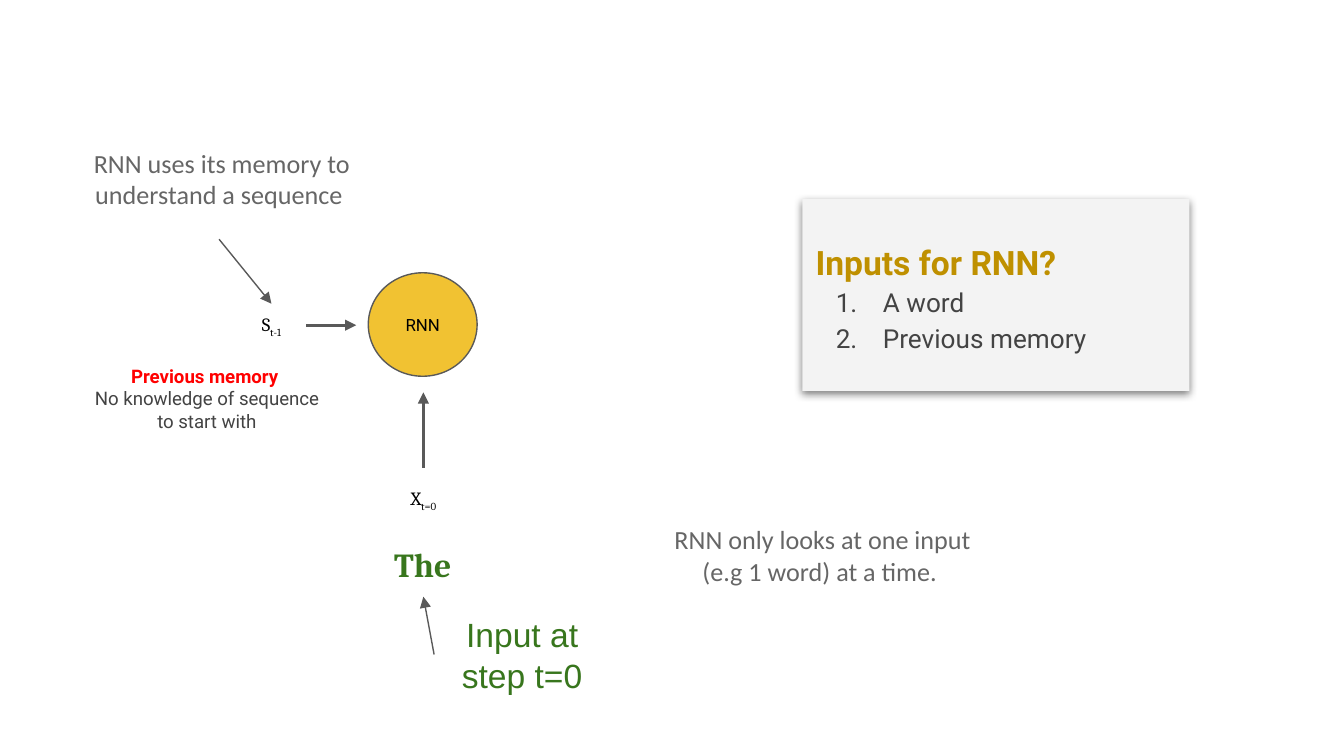
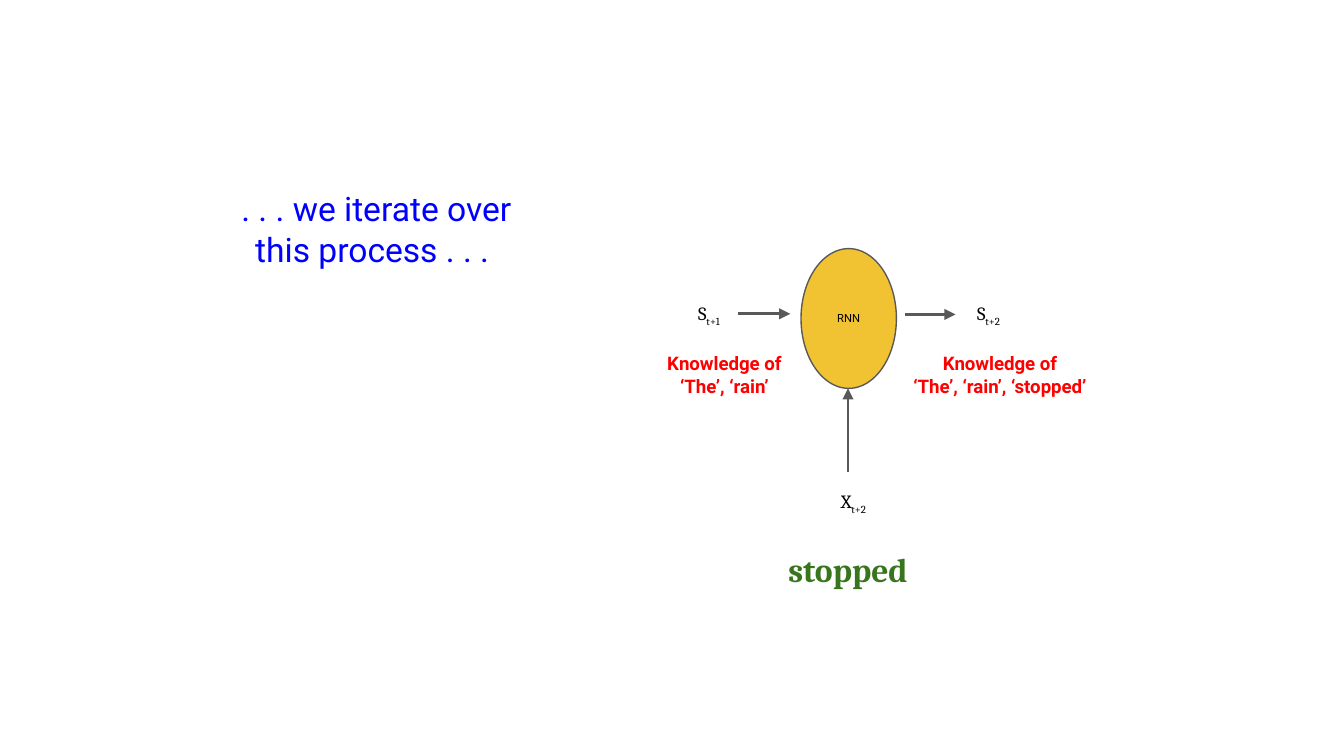
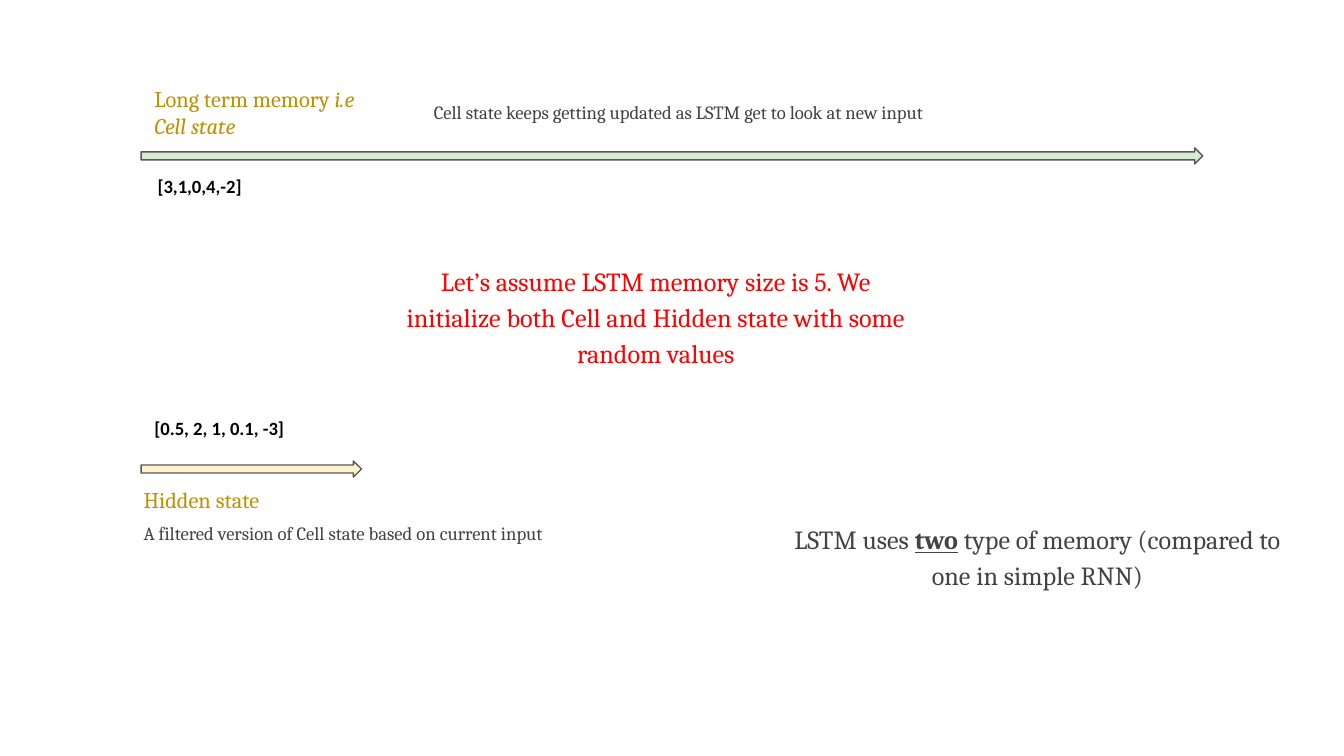
import pptx
import pptx.dml.color
import pptx.enum.shapes
import pptx.enum.text
import pptx.oxml
import pptx.oxml.ns
import pptx.util

SHAPE = pptx.enum.shapes.MSO_SHAPE
CENTRE = pptx.enum.text.PP_ALIGN.CENTER
LEFT = pptx.enum.text.PP_ALIGN.LEFT
MIDDLE = pptx.enum.text.MSO_ANCHOR.MIDDLE
TOP = pptx.enum.text.MSO_ANCHOR.TOP

INK, GREY, LINE = "434343", "666666", "595959"
BLACK, GOLD, GREEN, RED, BLUE = "000000", "BF9000", "38761D", "FF0000", "0000FF"

STYLES = {
    "symbol": ("Cambria", 10, BLACK, {}),
    "subscript": ("Cambria", 10, BLACK, {}),
    "word": ("Cambria", 18, GREEN, {"bold": True}),
    "input": ("Arial", 18, GREEN, {}),
    "remark": ("Calibri", 14, GREY, {}),
    "cell": ("Roboto", 9, BLACK, {}),
    "small cell": ("Roboto", 6, BLACK, {}),
    "memory": ("Roboto", 10, RED, {"bold": True}),
    "memory title": ("Roboto", 10, RED, {"bold": True}),
    "memory note": ("Roboto", 10, INK, {}),
    "heading": ("Roboto", 18, GOLD, {"bold": True}),
    "item": ("Roboto", 14, INK, {}),
    "iterate": ("Roboto", 18, BLUE, {}),
    "state": ("Cambria", 12, GOLD, {}),
    "state aside": ("Cambria", 12, GOLD, {"italic": True}),
    "state note": ("Cambria", 10, INK, {}),
    "assumption": ("Cambria", 14, RED, {}),
    "summary": ("Cambria", 14, INK, {}),
    "stress": ("Cambria", 14, INK, {"bold": True, "underline": True}),
    "vector": ("Calibri", 10, BLACK, {"bold": True}),
}
OPEN_STYLES = {"heading", "item", "memory title", "assumption", "summary"}

SHAPES = {
    "panel": (SHAPE.RECTANGLE, "F3F3F3", None),
    "node": (SHAPE.OVAL, "F1C232", LINE),
    "cell arrow": (SHAPE.RIGHT_ARROW, "D9EAD3", LINE),
    "hidden arrow": (SHAPE.RIGHT_ARROW, "FFF2CC", LINE),
}

first_step = {
    "boxes": [
        ("panel", (59.7, 14.8, 28.8, 14.3), MIDDLE, LEFT,
         [[("Inputs for RNN?", "heading")], [("A word", "item")], [("Previous memory", "item")]]),
        ("text", (28.9, 36.3, 5.2, 1.8), MIDDLE, CENTRE, [[("X", "symbol"), ("t=0", "subscript")]]),
        ("text", (17.3, 22.6, 5.8, 3.3), MIDDLE, CENTRE, [[("S", "symbol"), ("t-1", "subscript")]]),
        ("node", (27.4, 20.3, 8.1, 7.7), MIDDLE, CENTRE, [[("RNN", "cell")]]),
        ("text", (27.4, 39.6, 8.1, 4.8), MIDDLE, CENTRE, [[("The", "word")]]),
        ("text", (32.3, 45.1, 13.1, 7.2), MIDDLE, CENTRE, [[("Input at step t=0", "input")]]),
        ("text", (48, 36.3, 26, 10), MIDDLE, CENTRE,
         [[(" RNN only looks at one input (e.g 1 word) at a time.", "remark")]]),
        ("text", (3.3, 8.8, 26, 9), MIDDLE, CENTRE,
         [[(" RNN uses its memory to understand a sequence", "remark")]]),
        ("text", (5.6, 25.9, 19.6, 6.8), TOP, CENTRE,
         [[("Previous memory ", "memory title")],
          [("No knowledge of sequence to start with", "memory note")]]),
    ],
    "arrows": [
        (22.8, 24.2, 26.5, 24.2, 1.5),
        (31.5, 34.8, 31.5, 29.2, 1.5),
        (32.3, 48.7, 31.5, 44.4, 0.75),
        (16.3, 17.8, 20.2, 22.6, 0.75),
    ],
}

third_step = {
    "boxes": [
        ("text", (50, 22.4, 5.5, 2), MIDDLE, CENTRE, [[("S", "symbol"), ("t+1", "subscript")]]),
        ("text", (47, 25.2, 13.8, 6.2), TOP, CENTRE,
         [[("Knowledge of", "memory")], [("‘The’, ‘rain’", "memory")]]),
        ("text", (57.3, 36.4, 12.4, 2), MIDDLE, CENTRE, [[("X", "symbol"), ("t+2", "subscript")]]),
        ("node", (59.6, 18.5, 7.1, 10.4), MIDDLE, CENTRE, [[("RNN", "small cell")]]),
        ("text", (54.1, 39.7, 18, 5.3), MIDDLE, CENTRE, [[("stopped", "word")]]),
        ("text", (70.8, 22.4, 5.5, 2), MIDDLE, CENTRE, [[("S", "symbol"), ("t+2", "subscript")]]),
        ("text", (66.7, 25.2, 15.4, 6.2), TOP, CENTRE,
         [[("Knowledge of", "memory")], [("‘The’, ‘rain’, ‘stopped’", "memory")]]),
        ("text", (14.7, 9.6, 26, 14.8), MIDDLE, CENTRE,
         [[(" . . . we iterate over this process . . .", "iterate")]]),
    ],
    "arrows": [
        (54.9, 23.35, 58.8, 23.35, 1.5),
        (63.1, 35.1, 63.1, 28.9, 1.5),
        (67.3, 23.4, 71.1, 23.4, 1.5),
    ],
}

lstm_states = {
    "boxes": [
        ("text", (10.5, 6.3, 16.9, 4.1), MIDDLE, LEFT,
         [[("Long term memory ", "state"), ("i.e Cell state", "state aside")]]),
        ("text", (57.3, 36.3, 39.8, 10), MIDDLE, CENTRE,
         [[("LSTM uses ", "summary"), ("two", "stress"),
           (" type of memory (compared to one in simple RNN)", "summary")]]),
        ("cell arrow", (10.5, 11, 79, 1.2), MIDDLE, CENTRE, []),
        ("hidden arrow", (10.5, 34.3, 16.4, 1.2), MIDDLE, CENTRE, []),
        ("text", (9.7, 35.5, 18.4, 3.3), MIDDLE, LEFT, [[("Hidden state", "state")]]),
        ("text", (31.3, 6.3, 50.4, 4.1), MIDDLE, LEFT,
         [[("Cell state keeps getting updated as LSTM get to look at new input", "state note")]]),
        ("text", (9.7, 38, 50.4, 3.3), MIDDLE, LEFT,
         [[("A filtered version of Cell state based on current input", "state note")]]),
        ("text", (28.9, 18.4, 39.8, 10), MIDDLE, CENTRE,
         [[("Let’s assume LSTM memory size is 5. We initialize both Cell and Hidden state "
            "with some random values", "assumption")]]),
        ("text", (9.1, 12.2, 11.5, 4.1), TOP, CENTRE, [[("[3,1,0,4,-2]", "vector")]]),
        ("text", (10.5, 30.2, 13.8, 4.1), TOP, LEFT, [[("[0.5, 2, 1, 0.1, -3]", "vector")]]),
    ],
    "arrows": [],
}


def color(value):
    return pptx.dml.color.RGBColor.from_string(value)


def add_xml(parent, markup):
    namespace = pptx.oxml.ns.nsdecls("a")
    wrapper = pptx.oxml.parse_xml(f"<a:wrapper {namespace}>{markup}</a:wrapper>")
    for child in list(wrapper):
        parent.append(child)


deck = pptx.Presentation()
deck.slide_width = pptx.util.Inches(10)
deck.slide_height = deck.slide_width * 9 // 16
column = row = deck.slide_width / 100

for content in (first_step, third_step, lstm_states):
    page = deck.slides.add_slide(deck.slide_layouts[6])

    for kind, (left, top, width, height), anchor, alignment, paragraphs in content["boxes"]:
        place = [round(size) for size in (left * column, top * row, width * column, height * row)]
        if kind == "text":
            box = page.shapes.add_textbox(*place)
        else:
            preset, fill, outline = SHAPES[kind]
            box = page.shapes.add_shape(preset, *place)
            box.shadow.inherit = False
            box.fill.solid()
            box.fill.fore_color.rgb = color(fill)
            if outline:
                box.line.color.rgb = color(outline)
                box.line.width = pptx.util.Pt(0.75)
            else:
                box.line.fill.background()
        if kind == "panel":
            effects = box._element.spPr.find(pptx.oxml.ns.qn("a:effectLst"))
            add_xml(effects, '<a:outerShdw blurRad="57150" dist="19050" dir="5400000" '
                    'algn="bl" rotWithShape="0"><a:srgbClr val="000000">'
                    '<a:alpha val="50000"/></a:srgbClr></a:outerShdw>')

        frame = box.text_frame
        frame_format = {"word_wrap": True, "vertical_anchor": anchor}
        for side in ("left", "top", "right", "bottom"):
            frame_format[f"margin_{side}"] = pptx.util.Inches(0.1)
        for name, value in frame_format.items():
            setattr(frame, name, value)

        for index, spans in enumerate(paragraphs):
            para = frame.add_paragraph() if index else frame.paragraphs[0]
            lead_style = spans[0][1]
            if lead_style == "item":
                properties = para._p.get_or_add_pPr()
                properties.set("marL", str(pptx.util.Inches(0.5)))
                properties.set("indent", str(pptx.util.Inches(-0.35)))
                add_xml(properties, f'<a:buClr><a:srgbClr val="{INK}"/></a:buClr>'
                        '<a:buFont typeface="Roboto"/><a:buAutoNum type="arabicPeriod"/>')
            para.alignment = alignment
            if lead_style in OPEN_STYLES:
                para.line_spacing = 1.15
            for text, style in spans:
                typeface, size, ink, emphasis = STYLES[style]
                span = para.add_run()
                span.text = text
                font_format = {"name": typeface, "size": pptx.util.Pt(size), **emphasis}
                for name, value in font_format.items():
                    setattr(span.font, name, value)
                span.font.color.rgb = color(ink)
                if style == "subscript":
                    span._r.get_or_add_rPr().set("baseline", "-25000")

    for start_x, start_y, end_x, end_y, weight in content["arrows"]:
        ends = [round(size) for size in
                (start_x * column, start_y * row, end_x * column, end_y * row)]
        arrow = page.shapes.add_connector(pptx.enum.shapes.MSO_CONNECTOR.STRAIGHT, *ends)
        arrow.line.color.rgb = color(LINE)
        arrow.line.width = pptx.util.Pt(weight)
        add_xml(arrow.line._get_or_add_ln(), '<a:tailEnd type="triangle"/>')
        add_xml(arrow._element.spPr, "<a:effectLst/>")

deck.save("out.pptx")
